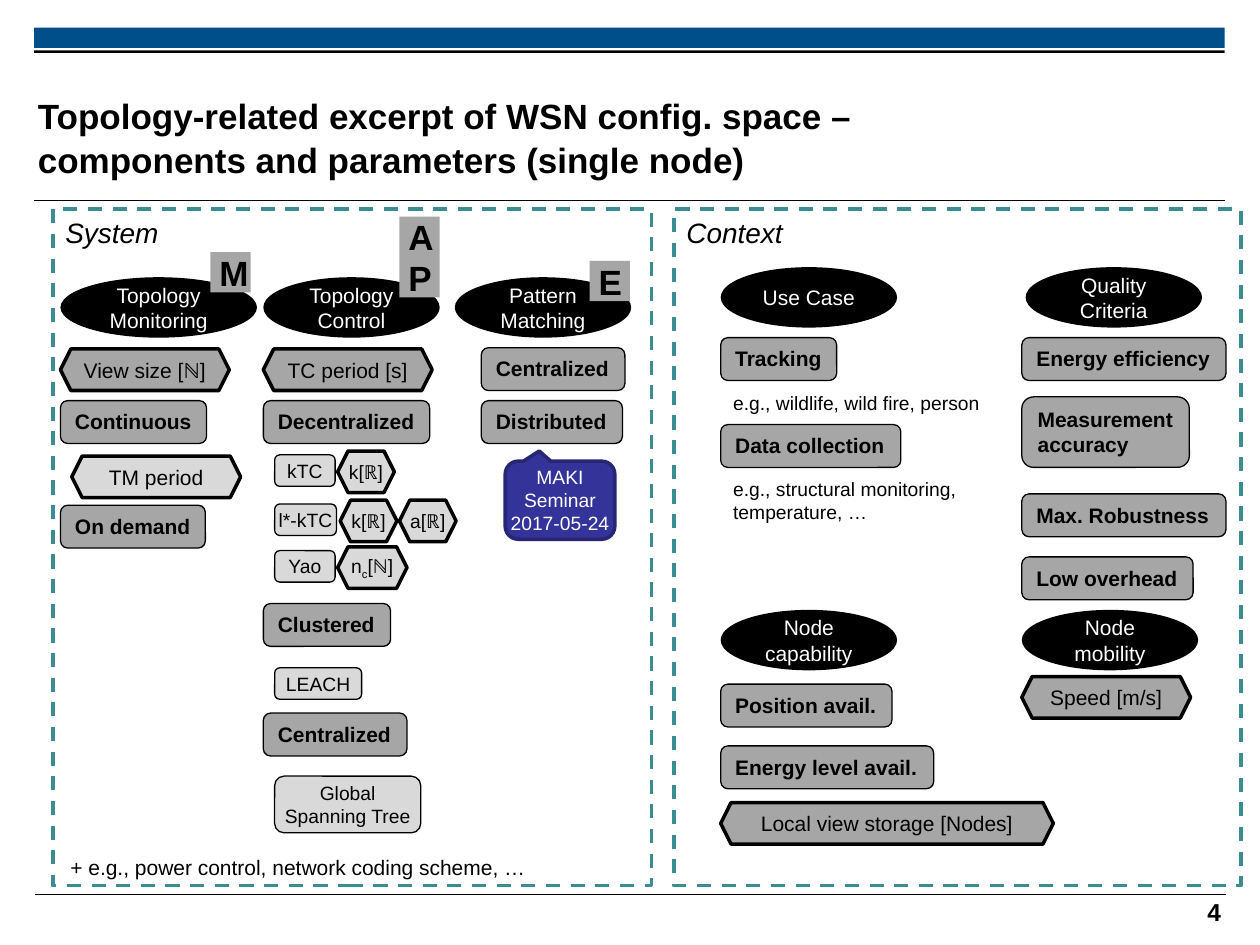
from lxml import etree
from pptx import Presentation
from pptx import util as u
from pptx.dml.color import RGBColor
from pptx.enum import dml, shapes, text
from pptx.oxml.ns import qn

BLACK, WHITE, BLUE, TEAL = "000000", "FFFFFF", "004E8A", "3C8C93"
NAVY, DARK_NAVY, GRAY, LIGHT_GRAY = "333399", "262671", "A6A6A6", "D9D9D9"
MONITORING, CONTROL, CHIPS, MATCHING, CONTEXT, QUALITY = 0.48, 2.09, 2.18, 3.82, 5.72, 8.11
SHAPE, ALIGN, ANCHOR = shapes.MSO_SHAPE, text.PP_ALIGN, text.MSO_ANCHOR


def color(hex_value):
    """Turn a hex string into a colour."""
    return RGBColor.from_string(hex_value)


def write(shape, words, size, ink=BLACK, bold=False, italic=False, align=ALIGN.LEFT,
          anchor=ANCHOR.TOP, margins=(0.1, 0.05), wrap=True, grow=False):
    """Put one paragraph per line of words into a shape."""
    frame = shape.text_frame
    frame.text = words
    frame.word_wrap = wrap
    frame.vertical_anchor = anchor
    frame.auto_size = text.MSO_AUTO_SIZE.SHAPE_TO_FIT_TEXT if grow else text.MSO_AUTO_SIZE.NONE
    frame.margin_left = frame.margin_right = u.Inches(margins[0])
    frame.margin_top = frame.margin_bottom = u.Inches(margins[1])
    for paragraph in frame.paragraphs:
        paragraph.alignment = align
        font = paragraph.font
        font.name, font.size, font.bold, font.italic = "Arial", u.Pt(size), bold, italic
        font.color.rgb = color(ink)


def add_box(slide, kind, left, top, width, height, fill=None, line=None, weight=0.75):
    """Add a preset shape with plain fill and outline."""
    shape = slide.shapes.add_shape(kind, *map(u.Inches, (left, top, width, height)))
    shape.shadow.inherit = False
    if fill:
        shape.fill.solid()
        shape.fill.fore_color.rgb = color(fill)
    else:
        shape.fill.background()
    if line:
        shape.line.color.rgb = color(line)
        shape.line.width = u.Pt(weight)
    else:
        shape.line.fill.background()
    return shape


def add_label(slide, left, top, width, height, words, size, **style):
    """Add a text box."""
    label = slide.shapes.add_textbox(*map(u.Inches, (left, top, width, height)))
    write(label, words, size, **style)
    return label


def add_rule(slide, left, top, width):
    """Add a thin horizontal line."""
    rule = slide.shapes.add_connector(
        shapes.MSO_CONNECTOR.STRAIGHT, *map(u.Inches, (left, top, left + width, top)))
    rule.line.color.rgb = color(BLACK)
    rule.line.width = u.Pt(0.6)
    etree.SubElement(rule.element.spPr, qn("a:effectLst"))


def add_panel(slide, left, width, name):
    """Add a dashed area with its name at the top."""
    panel = add_box(slide, SHAPE.RECTANGLE, left, 1.66, width, 5.37, None, TEAL, 2)
    panel.line.dash_style = dml.MSO_LINE.DASH
    write(panel, name, 16, italic=True)


def add_category(slide, left, top, words, width=1.4):
    """Add a black ellipse naming a category."""
    ellipse = add_box(slide, SHAPE.OVAL, left, top, width, 0.48, BLACK)
    write(ellipse, words, 12, WHITE, align=ALIGN.CENTER, anchor=ANCHOR.MIDDLE)


def add_badge(slide, left, top, letter):
    """Add a gray square with a letter."""
    badge = add_box(slide, SHAPE.RECTANGLE, left, top, 0.32, 0.32, GRAY)
    write(badge, letter, 20, bold=True, align=ALIGN.CENTER, anchor=ANCHOR.MIDDLE,
          margins=(0.07, 0.04))


def add_component(slide, left, top, width, words, height=0.34):
    """Add a rounded box naming a component."""
    box = add_box(slide, SHAPE.ROUNDED_RECTANGLE, left, top, width, height, GRAY, BLACK)
    write(box, words, 12, bold=True, wrap=False, grow=True)


def add_algorithm(slide, top, width, words, height=0.25):
    """Add a light rounded box naming an algorithm."""
    box = add_box(slide, SHAPE.ROUNDED_RECTANGLE, CHIPS, top, width, height, LIGHT_GRAY, BLACK)
    write(box, words, 11, align=ALIGN.CENTER, margins=(0.02, 0.02), wrap=False, grow=True)


def add_parameter(slide, left, top, words, width=1.34, fill=GRAY, size=12):
    """Add a hexagon naming a parameter."""
    hexagon = add_box(slide, SHAPE.HEXAGON, left, top, width, 0.33, fill, BLACK, 2)
    write(hexagon, words, size, align=ALIGN.CENTER, anchor=ANCHOR.MIDDLE, margins=(0, 0))
    return hexagon


def add_frame(slide):
    """Add the bars, rules, title and slide number."""
    add_box(slide, SHAPE.RECTANGLE, 0.27, 0.22, 9.45, 0.16, BLUE)
    add_box(slide, SHAPE.RECTANGLE, 0.27, 0.4, 9.45, 0.02, BLACK)
    add_rule(slide, 0.27, 1.59, 9.45)
    add_rule(slide, 0.28, 7.1, 9.45)
    add_label(slide, 9.25, 7.12, 0.44, 0.25, "4", 14, bold=True, align=ALIGN.RIGHT,
              margins=(0, 0))
    title = add_label(
        slide, 0.3, 0.36, 7.42, 1.45,
        "Topology-related excerpt of WSN config. space – components and parameters (single node)",
        20, bold=True, anchor=ANCHOR.MIDDLE, margins=(0, 0))
    title.text_frame.paragraphs[0].line_spacing = 1.05


def add_system(slide):
    """Fill the system panel."""
    add_panel(slide, 0.42, 4.75, "System")
    add_category(slide, 3.61, 2.2, "Pattern Matching")
    add_category(slide, CONTROL, 2.2, "Topology\vControl")
    add_category(slide, MONITORING, 2.2, "Topology\vMonitoring", 1.56)
    for left, top, letter in ((4.68, 2.07, "E"), (3.17, 2.04, "P"),
                              (1.67, 2, "M"), (3.17, 1.72, "A")):
        add_badge(slide, left, top, letter)

    for component in ((MATCHING, 2.76, 1.14, "Centralized"), (MATCHING, 3.18, 1.12, "Distributed"),
                      (CONTROL, 3.18, 1.32, "Decentralized"), (CONTROL, 4.79, 1.01, "Clustered"),
                      (CONTROL, 5.66, 1.14, "Centralized"), (MONITORING, 3.18, 1.16, "Continuous"),
                      (MONITORING, 4.01, 1.15, "On demand")):
        add_component(slide, *component)

    callout = add_box(slide, SHAPE.ROUNDED_RECTANGULAR_CALLOUT, 4.01, 3.66, 0.87, 0.62,
                      NAVY, DARK_NAVY, 2)
    callout.adjustments[0], callout.adjustments[1] = -0.19, -0.63
    write(callout, "MAKI Seminar\n2017-05-24", 11, WHITE, align=ALIGN.CENTER,
          anchor=ANCHOR.MIDDLE, margins=(0, 0))

    add_parameter(slide, MONITORING, 2.77, "View size [ℕ]")
    add_parameter(slide, CONTROL, 2.77, "TC period [s]")
    add_parameter(slide, 0.57, 3.62, "TM period", fill=LIGHT_GRAY)
    for algorithm in ((3.61, 0.48, "kTC"), (4, 0.49, "l*-kTC"), (4.37, 0.48, "Yao"),
                      (5.3, 0.69, "LEACH"), (6.16, 1.16, "Global\vSpanning Tree", 0.45)):
        add_algorithm(slide, *algorithm)
    for left, top, words in ((2.68, 3.58, "k[ℝ]"), (2.7, 3.97, "k[ℝ]"), (3.17, 3.97, "a[ℝ]")):
        add_parameter(slide, left, top, words, 0.45, LIGHT_GRAY, 11)
    neighbors = add_parameter(slide, 2.68, 4.34, "n", 0.55, LIGHT_GRAY, 11)
    paragraph = neighbors.text_frame.paragraphs[0]
    subscript, domain = paragraph.add_run(), paragraph.add_run()
    subscript.text, domain.text = "c", "[ℕ]"
    subscript.font._element.set("baseline", "-25000")

    add_label(slide, 0.46, 6.73, 3.85, 0.3, "+ e.g., power control, network coding scheme, …", 12,
              wrap=False, grow=True)


def add_context(slide):
    """Fill the context panel."""
    add_panel(slide, 5.35, 4.5, "Context")
    for category in ((CONTEXT, 2.12, "Use Case"), (8.14, 2.12, "Quality\vCriteria"),
                     (CONTEXT, 4.84, "Node\vcapability"), (QUALITY, 4.84, "Node mobility")):
        add_category(slide, *category)
    for component in ((CONTEXT, 2.68, 0.92, "Tracking"), (CONTEXT, 3.37, 1.43, "Data collection"),
                      (CONTEXT, 5.43, 1.36, "Position avail."),
                      (CONTEXT, 5.92, 1.69, "Energy level avail."),
                      (QUALITY, 2.68, 1.62, "Energy efficiency"),
                      (QUALITY, 3.15, 1.33, "Measurement\vaccuracy", 0.56),
                      (QUALITY, 3.92, 1.62, "Max. Robustness"),
                      (QUALITY, 4.42, 1.36, "Low overhead")):
        add_component(slide, *component)
    for top, width, height, words in (
            (3.06, 2.17, 0.29, "e.g., wildlife, wild fire, person"),
            (3.74, 1.98, 0.47, "e.g., structural monitoring,\ntemperature, …")):
        add_label(slide, CONTEXT, top, width, height, words, 11, wrap=False, grow=True)
    add_parameter(slide, QUALITY, 5.37, "Speed [m/s]")
    add_parameter(slide, CONTEXT, 6.37, "Local view storage [Nodes]", 2.64)


def main():
    """Build and save the slide."""
    presentation = Presentation()
    presentation.slide_width, presentation.slide_height = u.Inches(10), u.Inches(7.5)
    slide = presentation.slides.add_slide(presentation.slide_layouts[6])
    add_frame(slide)
    add_system(slide)
    add_context(slide)
    presentation.save("out.pptx")


if __name__ == "__main__":
    main()
